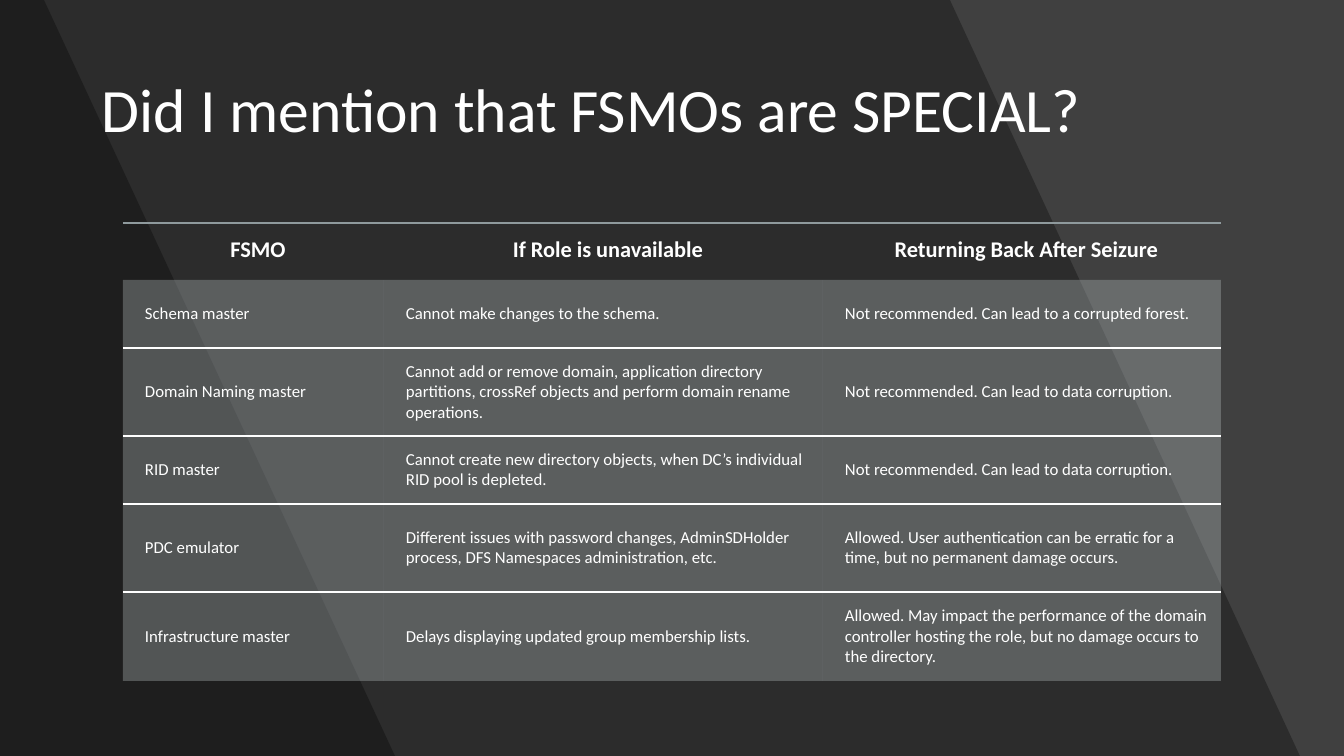
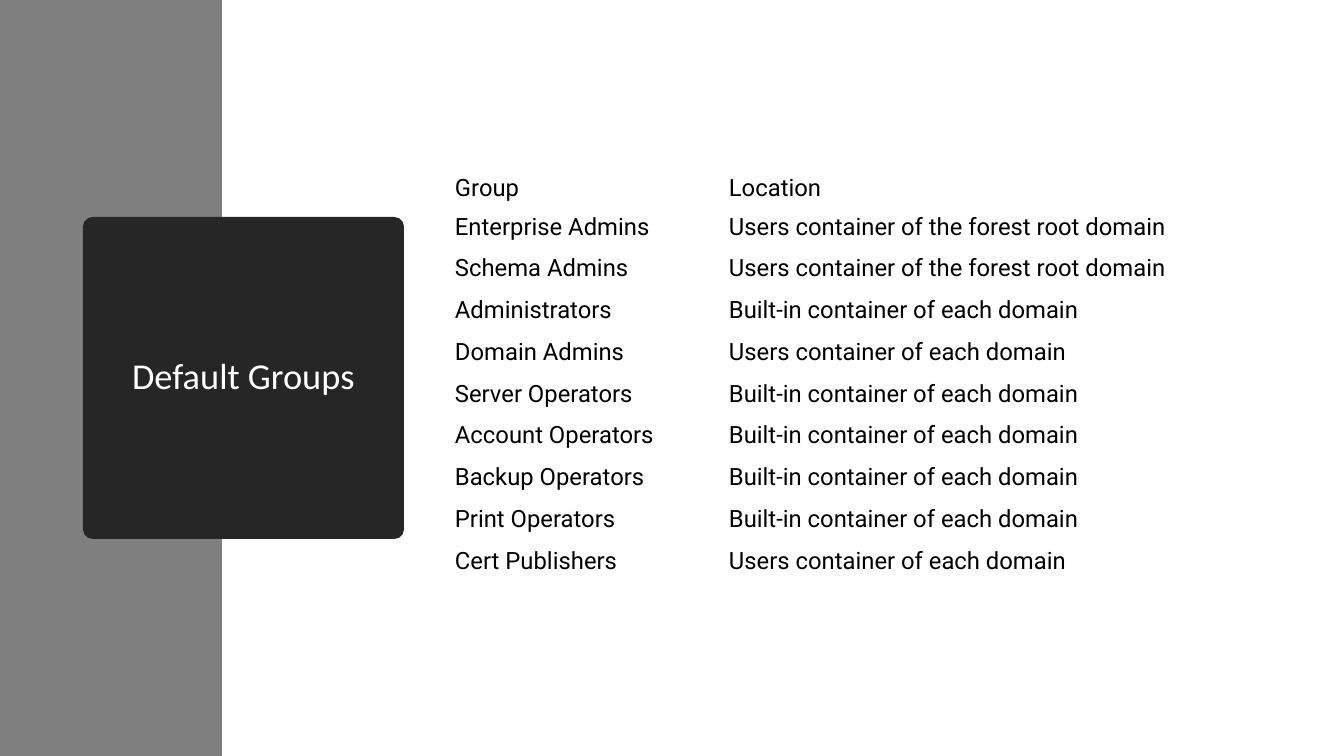
from lxml import etree
from pptx import Presentation, util as u
from pptx.dml import color
from pptx.enum import shapes, text
from pptx.oxml import ns

PX = 914400 / 100.8
WIDTH, HEIGHT = 1344, 756
COLOURS = {
    "white": "FFFFFF", "black": "000000", "charcoal": "404040", "grey": "7F7F7F",
    "panel": "262626", "rule": "8F9A9D", "cell": "B4BCBE",
}
TITLE_FONT, GROUP_FONT = "Calibri", "Roboto"
NO_STYLE = "{2D5ABB26-0587-4C30-8999-92F81FD0307C}"
ROLES = [
    ("FSMO", "If Role is unavailable", "Returning Back After Seizure"),
    ("Schema master", "Cannot make changes to the schema.",
     "Not recommended. Can lead to a corrupted forest."),
    ("Domain Naming master",
     "Cannot add or remove domain, application directory partitions, "
     "crossRef objects and perform domain rename operations.",
     "Not recommended. Can lead to data corruption."),
    ("RID master",
     "Cannot create new directory objects, when DC’s individual RID pool is depleted.",
     "Not recommended. Can lead to data corruption."),
    ("PDC emulator",
     "Different issues with password changes, AdminSDHolder process, "
     "DFS Namespaces administration, etc.",
     "Allowed. User authentication can be erratic for a time, but no permanent damage occurs."),
    ("Infrastructure master", "Delays displaying updated group membership lists.",
     "Allowed. May impact the performance of the domain controller hosting the role, "
     "but no damage occurs to the directory."),
]
FOREST_USERS = "Users container of the forest root domain"
DOMAIN_USERS = "Users container of each domain"
BUILT_IN = "Built-in container of each domain"
GROUPS = [
    ("Group", "Location"),
    ("Enterprise Admins", FOREST_USERS),
    ("Schema Admins", FOREST_USERS),
    ("Administrators", BUILT_IN),
    ("Domain Admins", DOMAIN_USERS),
    ("Server Operators", BUILT_IN),
    ("Account Operators", BUILT_IN),
    ("Backup Operators", BUILT_IN),
    ("Print Operators", BUILT_IN),
    ("Cert Publishers", DOMAIN_USERS),
]


def px(length):
    """Turn px into EMU."""
    return u.Emu(round(length * PX))


def rgb(name):
    """Look up a named colour."""
    return color.RGBColor.from_string(COLOURS[name])


def fade(properties, percent):
    """Give every colour inside an element the same opacity."""
    for node in properties.iter(ns.qn("a:srgbClr")):
        etree.SubElement(node, ns.qn("a:alpha")).set("val", str(percent * 1000))


def paint(shape, name):
    """Fill a shape with one colour, without outline or shadow."""
    shape.shadow.inherit = False
    shape.fill.solid()
    shape.fill.fore_color.rgb = rgb(name)
    shape.line.fill.background()


def write(frame, words, size, font, name, align=text.PP_ALIGN.LEFT, bold=False):
    """Put one formatted paragraph in a text frame."""
    frame.text = words
    paragraph = frame.paragraphs[0]
    paragraph.alignment = align
    for run in paragraph.runs:
        run.font.size, run.font.name, run.font.bold = u.Pt(size), font, bold
        run.font.color.rgb = rgb(name)


def write_title(shape, words, size, align):
    """Write a slide title in the shared style."""
    frame = shape.text_frame
    frame.word_wrap = True
    frame.vertical_anchor = text.MSO_ANCHOR.MIDDLE
    write(frame, words, size, TITLE_FONT, "white", align)
    frame.paragraphs[0].line_spacing = 0.9


def add_slide(presentation, background):
    """Add a blank slide with a plain background."""
    slide = presentation.slides.add_slide(presentation.slide_layouts[6])
    slide.background.fill.solid()
    slide.background.fill.fore_color.rgb = rgb(background)
    return slide


def add_slanted_band(slide, top_edge, bottom_edge):
    """Draw a translucent band from the left edge to a slanted side."""
    builder = slide.shapes.build_freeform(0, 0, scale=PX)
    builder.add_line_segments([(top_edge, 0), (bottom_edge, HEIGHT), (0, HEIGHT)], close=True)
    band = builder.convert_to_shape()
    paint(band, "black")
    fade(band.fill._xPr, 30)


def add_grid(slide, left, top, columns, heights):
    """Add an unstyled table with the given column widths and row heights."""
    frame = slide.shapes.add_table(len(heights), len(columns), px(left), px(top),
                                   px(sum(columns)), px(sum(heights)))
    table = frame.table
    table.first_row = table.horz_banding = False
    table._tbl.tblPr.find(ns.qn("a:tableStyleId")).text = NO_STYLE
    for column, width in zip(table.columns, columns):
        column.width = px(width)
    for row, height in zip(table.rows, heights):
        row.height = px(height)
    return table


def set_insets(cell, left, top, right, bottom):
    """Set the four margins of a cell."""
    cell.margin_left, cell.margin_top = px(left), px(top)
    cell.margin_right, cell.margin_bottom = px(right), px(bottom)


def add_border(cell, side, name, percent=100):
    """Draw one border of a cell."""
    line = etree.Element(ns.qn("a:" + side), w=str(u.Pt(1.5)))
    fill = etree.SubElement(line, ns.qn("a:solidFill"))
    etree.SubElement(fill, ns.qn("a:srgbClr")).set("val", COLOURS[name])
    fade(line, percent)
    cell._tc.get_or_add_tcPr().insert(0, line)


def add_role_table(slide, left, top):
    """Place the table of master roles."""
    table = add_grid(slide, left, top, [261, 439, 398], [57, 68, 88, 68, 88, 89])
    last = len(ROLES) - 1
    for row, values in enumerate(ROLES):
        for column, words in enumerate(values):
            cell = table.cell(row, column)
            if row == 0:
                set_insets(cell, 22, 13, 13, 13)
                write(cell.text_frame, words, 16, TITLE_FONT, "white",
                      text.PP_ALIGN.CENTER, True)
                cell.fill.background()
                add_border(cell, "lnT", "rule", 60)
                continue
            set_insets(cell, 22, 11, 11, 11)
            cell.vertical_anchor = text.MSO_ANCHOR.MIDDLE
            write(cell.text_frame, words, 12, TITLE_FONT, "white")
            cell.fill.solid()
            cell.fill.fore_color.rgb = rgb("cell")
            fade(cell._tc.tcPr, 35)
            if row < last:
                add_border(cell, "lnB", "white")
            if row > 1:
                add_border(cell, "lnT", "white")


def add_group_table(slide, left, top, height):
    """Place the table of groups, with equal rows under the heading."""
    heading = 36
    body = len(GROUPS) - 1
    heights = [heading] + [(height - heading) / body] * body
    table = add_grid(slide, left, top, [274, 532], heights)
    for row, values in enumerate(GROUPS):
        inset = 5 if row else 2
        for column, words in enumerate(values):
            cell = table.cell(row, column)
            set_insets(cell, 9, inset, 9, inset)
            write(cell.text_frame, words, 17, GROUP_FONT, "black")
            cell.fill.background()


def build_roles_slide(presentation):
    """Build the dark slide about the master roles."""
    slide = add_slide(presentation, "charcoal")
    add_slanted_band(slide, 950, 1300)
    add_slanted_band(slide, 44, 395)
    title = slide.shapes.add_textbox(px(92), px(40), px(1160), px(146))
    write_title(title, "Did I mention that FSMOs are SPECIAL?", 44, text.PP_ALIGN.LEFT)
    add_role_table(slide, 123, 223)


def build_groups_slide(presentation):
    """Build the light slide about the default groups."""
    slide = add_slide(presentation, "white")
    sidebar = slide.shapes.add_shape(shapes.MSO_SHAPE.RECTANGLE, 0, 0, px(222), px(HEIGHT))
    paint(sidebar, "grey")
    panel = slide.shapes.add_shape(shapes.MSO_SHAPE.ROUNDED_RECTANGLE,
                                   px(83), px(217), px(321), px(322))
    panel.adjustments[0] = 0.03
    paint(panel, "panel")
    write_title(panel, "Default Groups", 26, text.PP_ALIGN.CENTER)
    add_group_table(slide, 446, 172, 412)


def main():
    """Build and save the presentation."""
    presentation = Presentation()
    presentation.slide_width, presentation.slide_height = px(WIDTH), px(HEIGHT)
    build_roles_slide(presentation)
    build_groups_slide(presentation)
    presentation.save("out.pptx")


if __name__ == "__main__":
    main()
